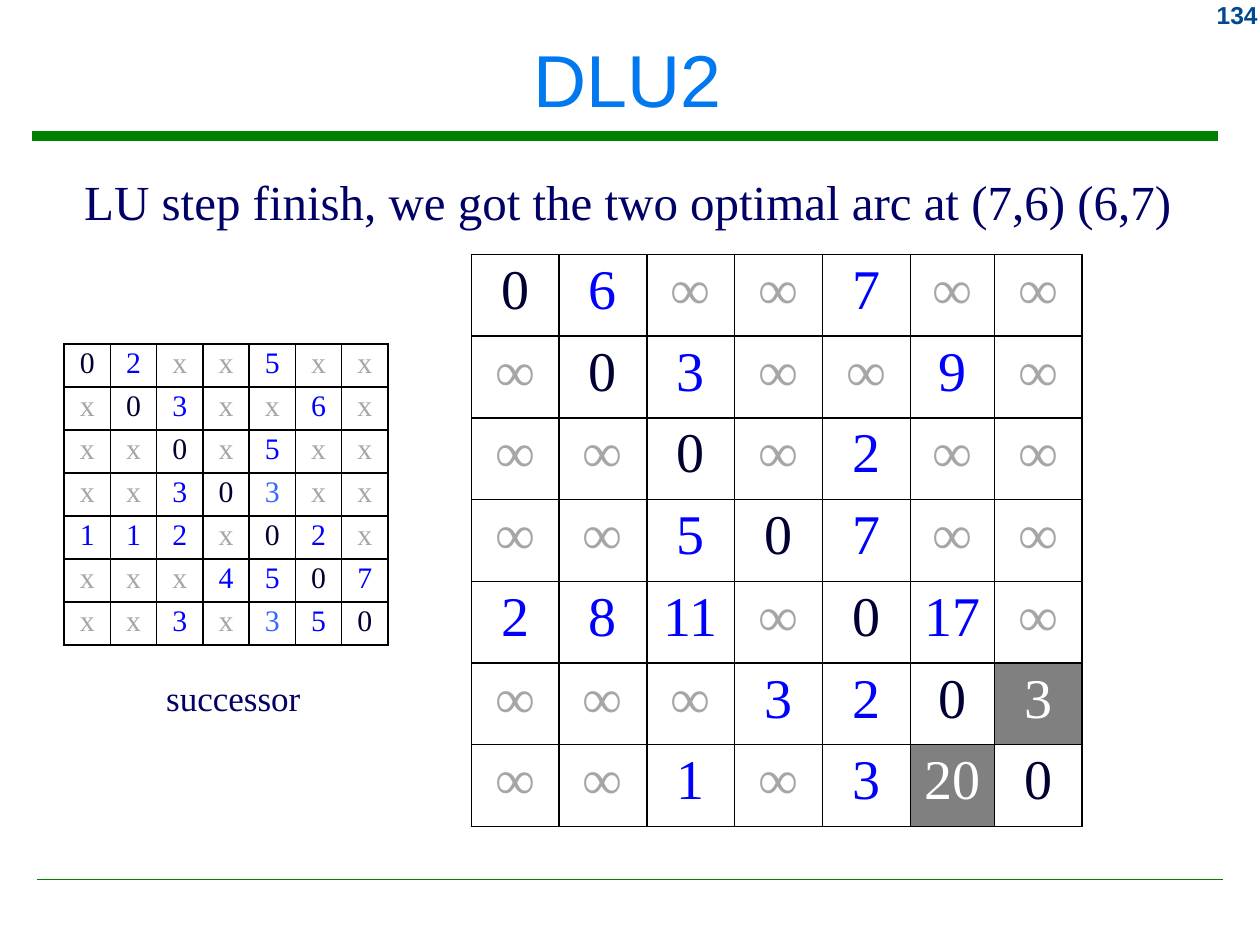
from lxml import etree
from pptx import Presentation
from pptx.dml.color import RGBColor
from pptx.enum.shapes import MSO_CONNECTOR
from pptx.enum.text import MSO_ANCHOR, PP_ALIGN
from pptx.oxml.ns import qn
from pptx.util import Inches, Pt

STRAIGHT = MSO_CONNECTOR.STRAIGHT
MIDDLE = MSO_ANCHOR.MIDDLE
LEFT, CENTER, RIGHT = PP_ALIGN.LEFT, PP_ALIGN.CENTER, PP_ALIGN.RIGHT
TITLE_ONLY = 5
SANS, SERIF = "Arial", "Times New Roman"

COLORS = {
    "title": "0078F0", "number": "004992", "rule": "008000", "text": "000066",
    "border": "000000", "diagonal": "000033", "value": "0000FF",
    "updated": "3366FF", "empty": "A6A6A6", "paper": "FFFFFF", "optimal": "808080",
}

DISTANCES = [row.split() for row in (
    "0 6 ∞ ∞ 7 ∞ ∞",
    "∞ 0 3 ∞ ∞ 9 ∞",
    "∞ ∞ 0 ∞ 2 ∞ ∞",
    "∞ ∞ 5 0 7 ∞ ∞",
    "2 8 11 ∞ 0 17 ∞",
    "∞ ∞ ∞ 3 2 0 3",
    "∞ ∞ 1 ∞ 3 20 0",
)]
SUCCESSORS = [row.split() for row in (
    "0 2 x x 5 x x",
    "x 0 3 x x 6 x",
    "x x 0 x 5 x x",
    "x x 3 0 3 x x",
    "1 1 2 x 0 2 x",
    "x x x 4 5 0 7",
    "x x 3 x 3 5 0",
)]
# Zero-based (row, column) of the cells that stand out
OPTIMAL_ARCS = {(5, 6), (6, 5)}
UPDATED_ARCS = {(3, 4), (6, 4)}


def rgb(name):
    return RGBColor.from_string(COLORS[name])


def style(tf, text, size, color, font=SERIF, align=LEFT, bold=False):
    tf.text = text
    p = tf.paragraphs[0]
    p.alignment = align
    r = p.runs[0]
    r.font.name, r.font.size, r.font.bold = font, Pt(size), bold
    r.font.color.rgb = rgb(color)


def add_label(s, box, text, size, color, **kwargs):
    tf = s.shapes.add_textbox(*map(Inches, box)).text_frame
    tf.word_wrap = False
    style(tf, text, size, color, **kwargs)


def add_rule(s, left, top, width, weight):
    line = s.shapes.add_connector(
        STRAIGHT, *map(Inches, (left, top, left + width, top)))
    line.line.color.rgb = rgb("rule")
    line.line.width = Pt(weight)
    etree.SubElement(line._element.spPr, qn("a:effectLst"))


def add_borders(cell):
    tcPr = cell._tc.get_or_add_tcPr()
    for side in ("lnL", "lnR", "lnT", "lnB"):
        ln = etree.SubElement(tcPr, qn(f"a:{side}"), w=str(Pt(1)))
        fill = etree.SubElement(ln, qn("a:solidFill"))
        etree.SubElement(fill, qn("a:srgbClr"), val=COLORS["border"])


def cell_color(text, arc, optimal, updated):
    if arc in optimal:
        return "paper"
    if arc in updated:
        return "updated"
    return {"0": "diagonal", "∞": "empty", "x": "empty"}.get(text, "value")


def add_matrix(s, box, values, size, insets, weights, optimal=(), updated=()):
    """Square matrix filling the box, its columns shared out by weight."""
    n = len(values)
    left, top, width, height = map(Inches, box)
    table = s.shapes.add_table(n, n, left, top, width, height).table
    table.first_row = table.horz_banding = False
    for column, weight in zip(table.columns, weights):
        column.width = int(width * weight / sum(weights))
    for i, row in enumerate(values):
        table.rows[i].height = height // n
        for j, text in enumerate(row):
            cell = table.cell(i, j)
            cell.margin_left = cell.margin_right = Inches(insets[0])
            cell.margin_top = cell.margin_bottom = Inches(insets[1])
            add_borders(cell)
            cell.fill.solid()
            cell.fill.fore_color.rgb = rgb("optimal" if (i, j) in optimal else "paper")
            style(cell.text_frame, text, size,
                  cell_color(text, (i, j), optimal, updated), align=CENTER)


def add_title(s, box, text):
    title = s.shapes.title
    title.left, title.top, title.width, title.height = map(Inches, box)
    title.text_frame.vertical_anchor = MIDDLE
    style(title.text_frame, text, 42, "title", font=SANS, align=CENTER)


def main():
    prs = Presentation()
    prs.slide_width, prs.slide_height = Inches(10), Inches(7.5)
    s = prs.slides.add_slide(prs.slide_layouts[TITLE_ONLY])

    # Frame: rules, slide number and title
    add_rule(s, 0.25, 1.08, 9.42, 5.25)
    add_rule(s, 0.29, 6.98, 9.42, 1)
    add_label(s, (9.17, -0.05, 0.91, 0.33), "134", 14, "number",
              font=SANS, align=RIGHT, bold=True)
    add_title(s, (0.08, 0.09, 9.8, 1.06), "DLU2")

    # Distance matrix with its statement
    add_label(s, (0.57, 1.31, 9.15, 0.57),
              "LU step finish, we got the two optimal arc at (7,6) (6,7)", 28, "text")
    add_matrix(s, (3.74, 2.02, 4.85, 4.54), DISTANCES, 32, (0.09, 0.04),
               [0.7] * 5 + [0.67, 0.7], optimal=OPTIMAL_ARCS)

    # Successor matrix with its caption
    add_matrix(s, (0.51, 2.73, 2.57, 2.39), SUCCESSORS, 17, (0.05, 0.02),
               [1] * 7, updated=UPDATED_ARCS)
    add_label(s, (1.22, 5.32, 1.28, 0.44), "successor", 20, "text")

    prs.save("out.pptx")


if __name__ == "__main__":
    main()
